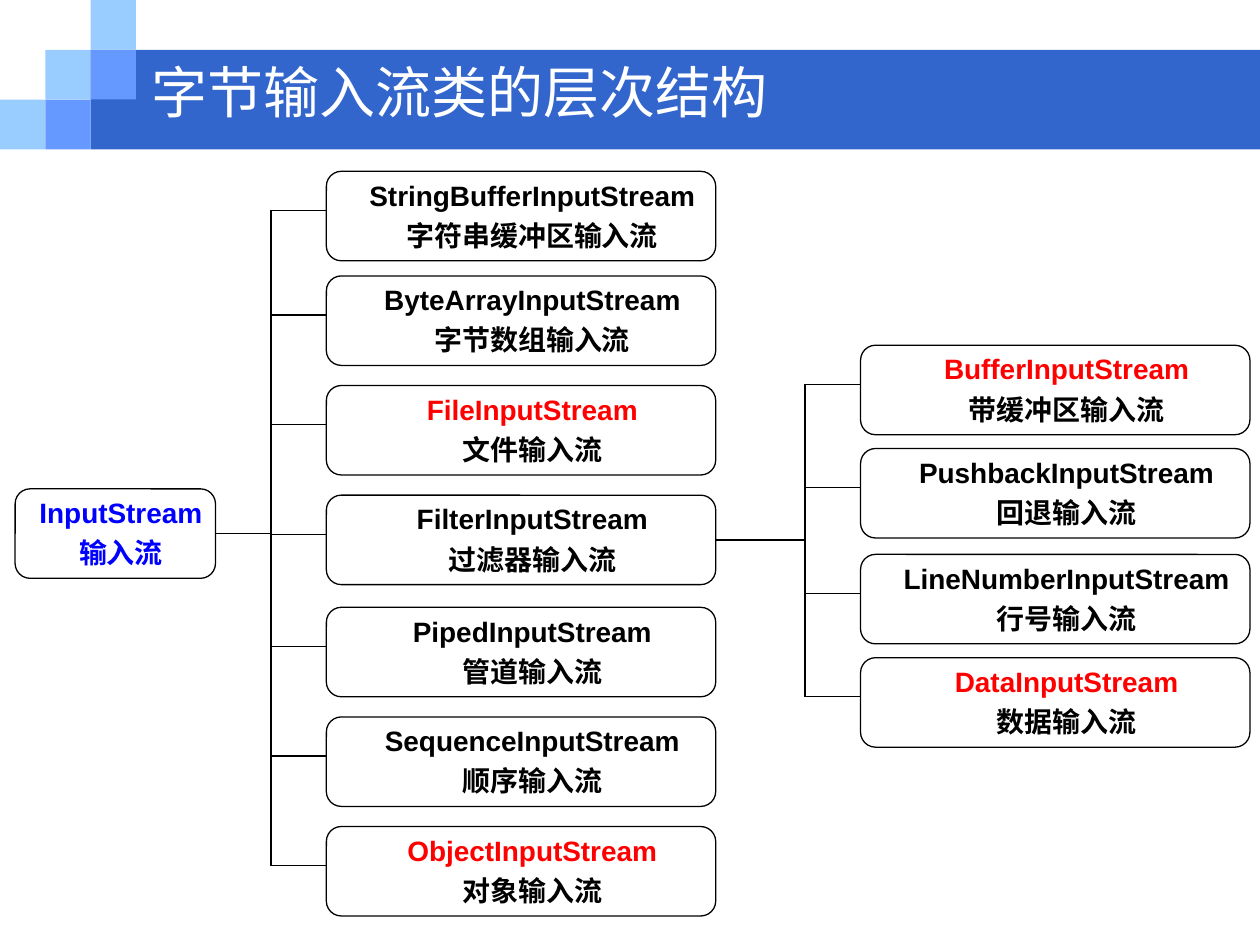
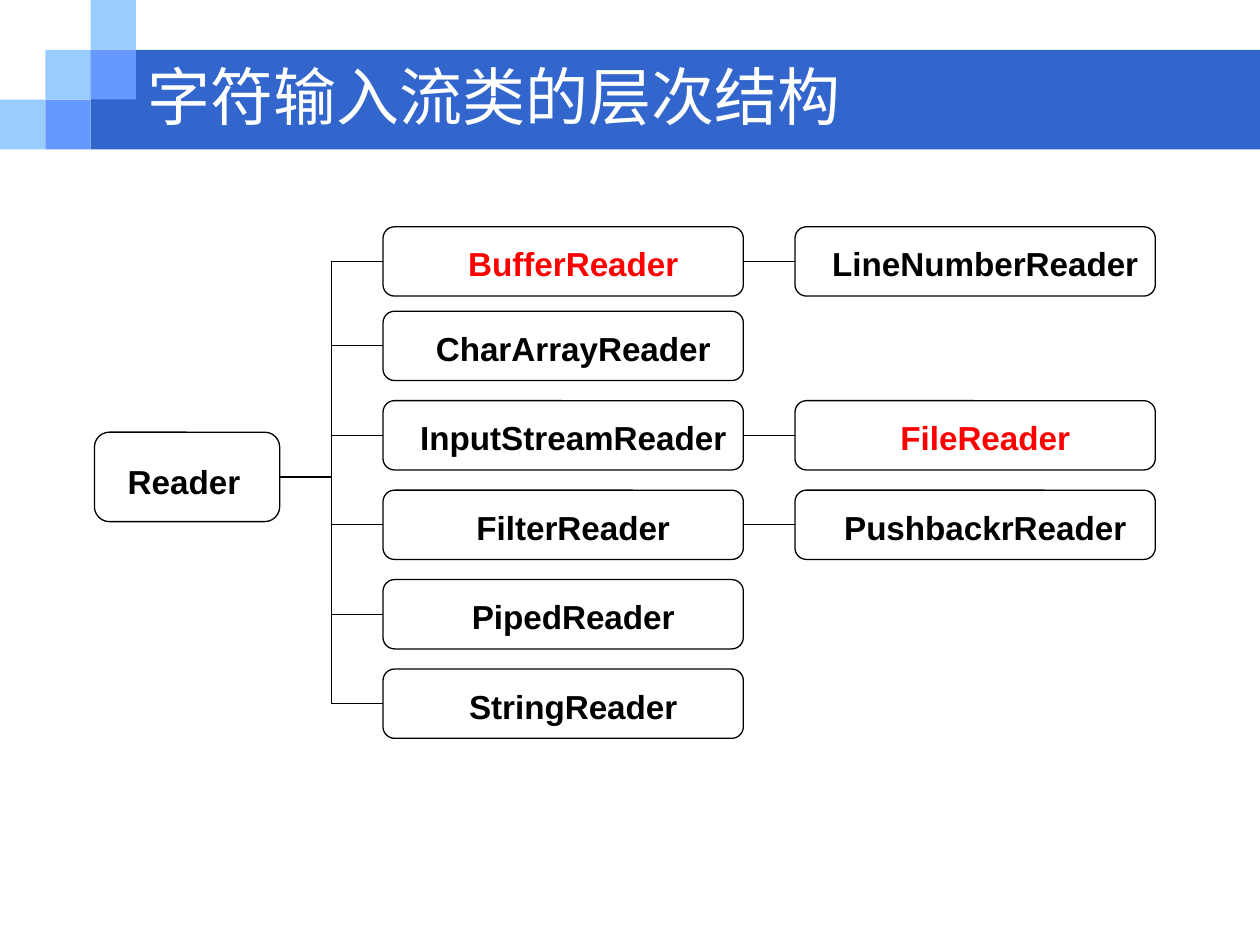
"""Build two slides that show the class trees of Java input streams and readers."""
import lxml.etree
import pptx
import pptx.dml.color
import pptx.enum.shapes
import pptx.enum.text
import pptx.oxml.ns
import pptx.util

WIDTH, HEIGHT = 10, 7.5
BLACK, RED, BLUE, WHITE = "000000", "FF0000", "0000FF", "FFFFFF"
BAND, LIGHT, MEDIUM = "3366CC", "99CCFF", "6699FF"
BODY_FONT, TITLE_FONT = "Arial", "Noto Sans CJK SC"
TILE_WIDTH, TILE_HEIGHT = 0.36, 0.395
TILES = [(0, 2, LIGHT), (1, 1, LIGHT), (2, 0, LIGHT), (2, 1, MEDIUM), (1, 2, MEDIUM)]
LEFT, TOP, RIGHT, BOTTOM = 1, 0, 3, 2

STREAMS = {
    "title": "字节输入流类的层次结构", "title_box": (1.16, 0.44, 6.8, 0.56), "title_size": 32,
    "size": 16, "box": (3.09, 0.71), "insets": (0.22, 0, 0.04, 0.07),
    "root": (0.12, 3.88, 1.59, 0.71), "root_insets": (0.09, 0, 0, 0.07),
    "root_text": [("InputStream", BLUE), ("输入流", BLUE)],
    "column": 2.59, "bus": 2.15, "tick": 0.31,
    "branches": [
        (1.36, BLACK, "StringBufferInputStream", "字符串缓冲区输入流"),
        (2.19, BLACK, "ByteArrayInputStream", "字节数组输入流"),
        (3.06, RED, "FileInputStream", "文件输入流"),
        (3.93, BLACK, "FilterInputStream", "过滤器输入流"),
        (4.82, BLACK, "PipedInputStream", "管道输入流"),
        (5.69, BLACK, "SequenceInputStream", "顺序输入流"),
        (6.56, RED, "ObjectInputStream", "对象输入流"),
    ],
}
FILTERS = {
    "column": 6.83, "bus": 6.39, "tick": 0.31, "parent": 3,
    "branches": [
        (2.74, RED, "BufferInputStream", "带缓冲区输入流"),
        (3.56, BLACK, "PushbackInputStream", "回退输入流"),
        (4.4, BLACK, "LineNumberInputStream", "行号输入流"),
        (5.22, RED, "DataInputStream", "数据输入流"),
    ],
}
READERS = {
    "title": "字符输入流类的层次结构", "title_box": (1.13, 0.29, 8.2, 0.94), "title_size": 36,
    "size": 19, "box": (2.86, 0.55), "insets": (0.2, 0, 0.04, 0.03),
    "root": (0.75, 3.43, 1.47, 0.71), "root_insets": (0.05, 0, 0.1, 0),
    "root_text": [("Reader", BLACK)],
    "column": 3.04, "bus": 2.63, "tick": None,
    "branches": [
        (1.8, RED, "BufferReader"), (2.47, BLACK, "CharArrayReader"),
        (3.18, BLACK, "InputStreamReader"), (3.89, BLACK, "FilterReader"),
        (4.6, BLACK, "PipedReader"), (5.31, BLACK, "StringReader"),
    ],
}
READER_CHILDREN_COLUMN = 6.31
READER_CHILDREN = [(0, BLACK, "LineNumberReader"), (2, RED, "FileReader"),
                   (3, BLACK, "PushbackrReader")]


def inches(*lengths):
    return [pptx.util.Inches(length) for length in lengths]


def rgb(colour):
    return pptx.dml.color.RGBColor.from_string(colour)


def write(shape, lines, *, size, font=BODY_FONT, bold=False, centred=False,
          spacing=None, insets=(0, 0, 0, 0)):
    frame = shape.text_frame
    frame.word_wrap = True
    frame.vertical_anchor = pptx.enum.text.MSO_ANCHOR.MIDDLE
    (frame.margin_left, frame.margin_top,
     frame.margin_right, frame.margin_bottom) = inches(*insets)
    for index, (text, colour) in enumerate(lines):
        paragraph = frame.add_paragraph() if index else frame.paragraphs[0]
        align = pptx.enum.text.PP_ALIGN
        paragraph.alignment = align.CENTER if centred else align.LEFT
        paragraph.line_spacing = spacing
        run = paragraph.add_run()
        run.text = text
        run.font.size = pptx.util.Pt(size)
        run.font.bold = bold
        run.font.color.rgb = rgb(colour)
        run.font.name = font
        east_asian = lxml.etree.SubElement(run.font._element, pptx.oxml.ns.qn("a:ea"))
        east_asian.set("typeface", TITLE_FONT)


def add_tile(slide, left, top, width, height, colour):
    shape = slide.shapes.add_shape(
        pptx.enum.shapes.MSO_SHAPE.RECTANGLE, *inches(left, top, width, height))
    shape.shadow.inherit = False
    shape.fill.solid()
    shape.fill.fore_color.rgb = rgb(colour)
    shape.line.fill.background()


def add_box(slide, place, lines, size, insets):
    shape = slide.shapes.add_shape(
        pptx.enum.shapes.MSO_SHAPE.ROUNDED_RECTANGLE, *inches(*place))
    shape.shadow.inherit = False
    shape.fill.background()
    shape.line.color.rgb = rgb(BLACK)
    shape.line.width = pptx.util.Pt(0.75)
    write(shape, lines, size=size, bold=True, centred=True, spacing=1.2, insets=insets)
    return shape


def add_line(slide, start, finish, begin=None, end=None):
    connector = slide.shapes.add_connector(
        pptx.enum.shapes.MSO_CONNECTOR.STRAIGHT, *inches(*start, *finish))
    connector.line.color.rgb = rgb(BLACK)
    connector.line.width = pptx.util.Pt(0.75)
    lxml.etree.SubElement(connector._element.spPr, pptx.oxml.ns.qn("a:effectLst"))
    if begin is not None:
        connector.begin_connect(begin, RIGHT)
    if end is not None:
        connector.end_connect(end, LEFT)


def middle(shape):
    return (shape.top + shape.height / 2) / pptx.util.Inches(1)


def right_edge(shape):
    return (shape.left + shape.width) / pptx.util.Inches(1)


def add_node(slide, tree, column, top, colour, name, captions):
    lines = [(name, colour)] + [(caption, BLACK) for caption in captions]
    return add_box(slide, (column, top, *tree["box"]), lines, tree["size"], tree["insets"])


def add_branches(slide, tree, group, parent):
    column, bus, tick = group["column"], group["bus"], group["tick"]
    boxes, levels = [], []
    for top, colour, name, *captions in group["branches"]:
        box = add_node(slide, tree, column, top, colour, name, captions)
        level = middle(box) if tick is None else top + tick
        add_line(slide, (bus, level), (column, level), end=box if tick is None else None)
        boxes.append(box)
        levels.append(level)
    add_line(slide, (bus, levels[0]), (bus, levels[-1]))
    add_line(slide, (right_edge(parent), middle(parent)), (bus, middle(parent)), begin=parent)
    return boxes


def add_tree(presentation, tree):
    slide = presentation.slides.add_slide(presentation.slide_layouts[6])
    band_left = 2 * TILE_WIDTH
    add_tile(slide, band_left, TILE_HEIGHT, WIDTH - band_left, 2 * TILE_HEIGHT, BAND)
    for column, row, colour in TILES:
        add_tile(slide, column * TILE_WIDTH, row * TILE_HEIGHT, TILE_WIDTH, TILE_HEIGHT, colour)
    title = slide.shapes.add_textbox(*inches(*tree["title_box"]))
    write(title, [(tree["title"], WHITE)], size=tree["title_size"], font=TITLE_FONT,
          insets=(0.04, 0.01, 0.04, 0.01))
    root = add_box(slide, tree["root"], tree["root_text"], tree["size"], tree["root_insets"])
    return slide, add_branches(slide, tree, tree, root)


def main():
    presentation = pptx.Presentation()
    presentation.slide_width, presentation.slide_height = inches(WIDTH, HEIGHT)

    slide, streams = add_tree(presentation, STREAMS)
    add_branches(slide, STREAMS, FILTERS, streams[FILTERS["parent"]])

    slide, readers = add_tree(presentation, READERS)
    for row, colour, name in READER_CHILDREN:
        parent, top = readers[row], READERS["branches"][row][0]
        child = add_node(slide, READERS, READER_CHILDREN_COLUMN, top, colour, name, [])
        add_line(slide, (right_edge(parent), middle(parent)),
                 (READER_CHILDREN_COLUMN, middle(child)), begin=parent, end=child)

    presentation.save("out.pptx")


if __name__ == "__main__":
    main()
